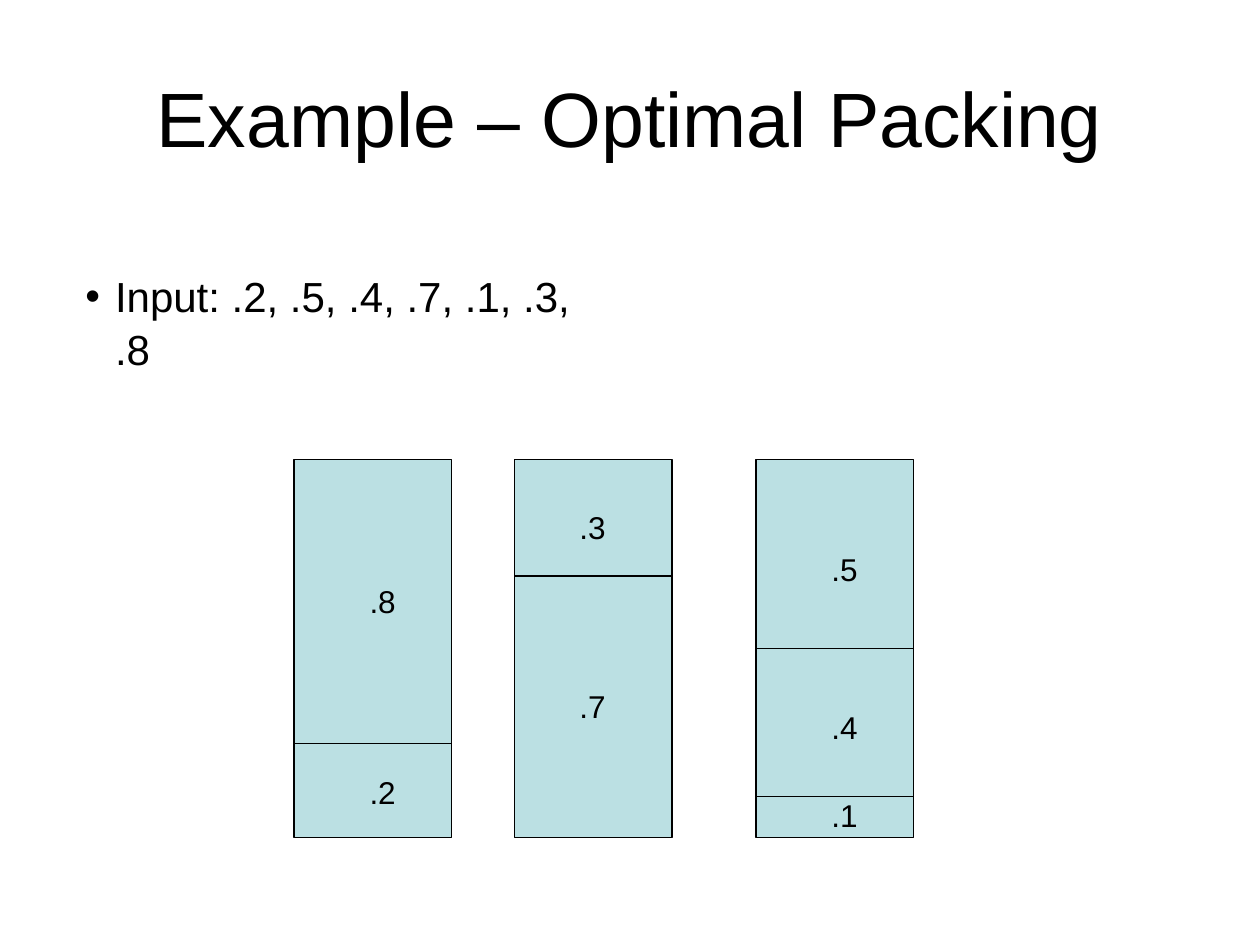
from pptx import Presentation
from pptx.util import Cm, Pt
from pptx.dml.color import RGBColor
from pptx.enum.shapes import MSO_SHAPE as Shape, MSO_CONNECTOR as Link
from pptx.enum.text import PP_ALIGN as Align, MSO_ANCHOR as Anchor, MSO_AUTO_SIZE as Fit
from pptx.oxml.ns import qn
from lxml.etree import SubElement

TITLE = "Example – Optimal Packing"
INPUT = "Input: .2, .5, .4, .7, .1, .3, .8"
BINS = [
    {"left": 5.93, "label": 7.2, "cuts": [14.99],
     "items": [(".8", 11.61), (".2", 15.45)]},
    {"left": 10.37, "label": 11.43, "cuts": [11.61],
     "items": [(".3", 10.11), (".7", 13.72)]},
    {"left": 15.24, "label": 16.51, "cuts": [13.08, 16.05],
     "items": [(".5", 10.97), (".4", 14.15), (".1", 15.93)]},
]
TOP, WIDTH, HEIGHT = 9.27, 3.18, 7.62
BLACK = RGBColor(0, 0, 0)
TEAL = RGBColor(0xBB, 0xE0, 0xE3)


def style(para, size):
    for run in para.runs:
        run.font.name = "Arial"
        run.font.size = Pt(size)
        run.font.color.rgb = BLACK


def ink(line):
    line.color.rgb = BLACK
    line.width = Pt(0.75)


def add_text(text, left, top, width, height, size, wrap=False):
    box = slide.shapes.add_textbox(Cm(left), Cm(top), Cm(width), Cm(height))
    frame = box.text_frame
    frame.text = text
    frame.word_wrap = wrap
    frame.auto_size = Fit.SHAPE_TO_FIT_TEXT
    style(frame.paragraphs[0], size)
    return frame.paragraphs[0]


deck = Presentation()
deck.slide_width, deck.slide_height = Cm(25.4), Cm(19.05)
slide = deck.slides.add_slide(deck.slide_layouts[5])

title = slide.shapes.title
title.left, title.top, title.width, title.height = Cm(1.27), Cm(0.76), Cm(22.86), Cm(3.18)
title.text_frame.text = TITLE
title.text_frame.vertical_anchor = Anchor.MIDDLE
head = title.text_frame.paragraphs[0]
head.alignment = Align.CENTER
style(head, 44)

for pack in BINS:
    left = pack["left"]
    rect = slide.shapes.add_shape(Shape.RECTANGLE, Cm(left), Cm(TOP), Cm(WIDTH), Cm(HEIGHT))
    rect.shadow.inherit = False
    rect.fill.solid()
    rect.fill.fore_color.rgb = TEAL
    ink(rect.line)
    for cut in pack["cuts"]:
        edge = slide.shapes.add_connector(
            Link.STRAIGHT, Cm(left), Cm(cut), Cm(left + WIDTH), Cm(cut))
        SubElement(edge._element.spPr, qn("a:effectLst"))
        ink(edge.line)
        edge.shadow.inherit = False
    for text, top in pack["items"]:
        add_text(text, pack["label"], top, 1.04, 1.02, 18)

para = add_text(INPUT, 1.47, 5.28, 10.92, 1.27, 24, wrap=True)
para.line_spacing = 1.05
props = para._p.get_or_add_pPr()
props.set("marL", str(Cm(0.6)))
props.set("indent", str(-Cm(0.6)))
SubElement(props, qn("a:buFont"), typeface="Arial")
SubElement(props, qn("a:buChar"), char="•")

deck.save("out.pptx")
